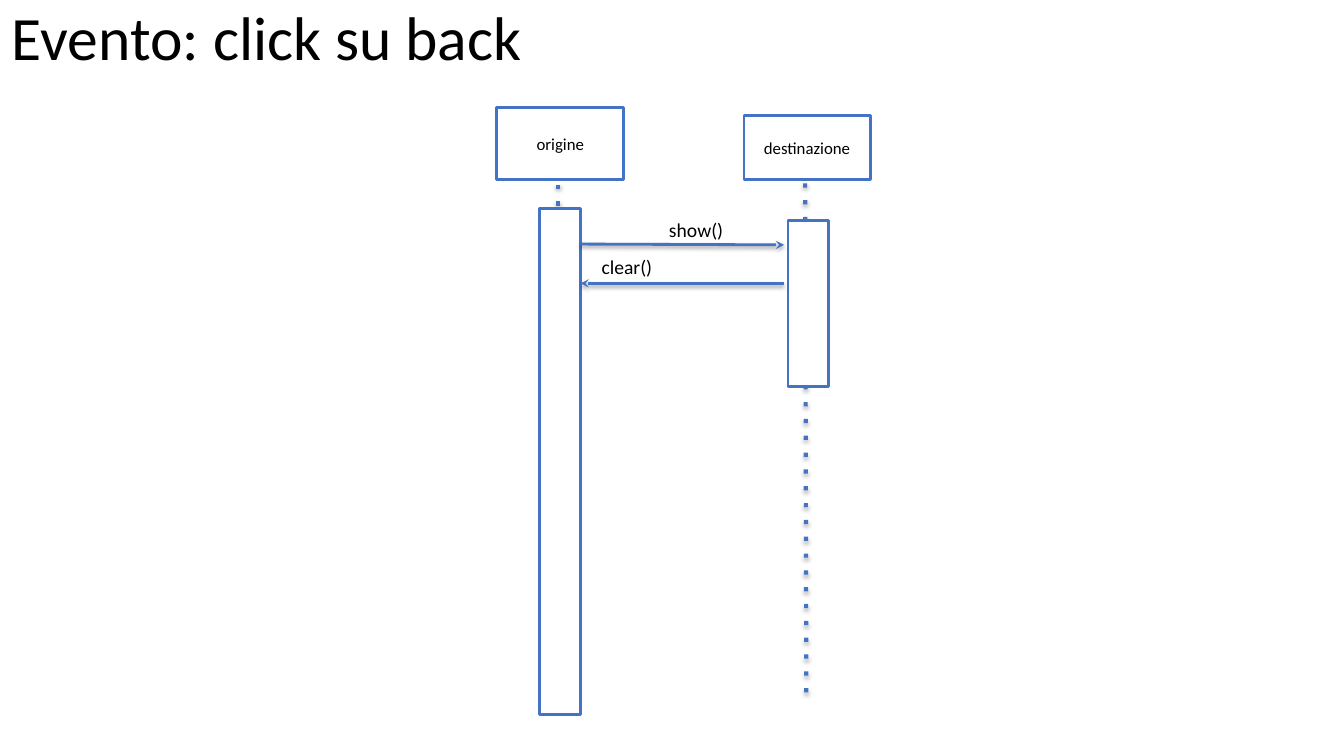
from lxml import etree
from pptx import Presentation
from pptx import util as u
from pptx.dml.color import RGBColor
from pptx.enum import shapes, text
from pptx.oxml import ns


def color(code):
    return RGBColor.from_string(code)


def add(parent, tag, **attrs):
    node = etree.SubElement(parent, ns.qn(tag))
    for key, val in attrs.items():
        node.set(key, str(val))
    return node


class Sketch:
    font = "Calibri"
    ink = "000000"
    blue = "4472C4"
    white = "FFFFFF"

    def __init__(self, slide):
        self.slide = slide

    def letter(self, shape, words, size, align, anchor):
        """Put one styled paragraph into a shape."""
        frame = shape.text_frame
        frame.text = words
        frame.word_wrap = True
        frame.auto_size = text.MSO_AUTO_SIZE.NONE
        frame.vertical_anchor = anchor
        frame.margin_left = frame.margin_right = u.Cm(0.3)
        frame.margin_top = frame.margin_bottom = u.Cm(0.15)
        para = frame.paragraphs[0]
        para.alignment = align
        font = para.runs[0].font
        font.name = self.font
        font.size = u.Pt(size)
        font.color.rgb = color(self.ink)

    def title(self, words, x, y, w, h):
        head = self.slide.shapes.title
        head.left, head.top, head.width, head.height = map(u.Cm, (x, y, w, h))
        self.letter(head, words, 44, text.PP_ALIGN.LEFT,
                    text.MSO_ANCHOR.MIDDLE)
        head.text_frame.paragraphs[0].line_spacing = 0.9

    def box(self, x, y, w, h, words=None):
        rect = self.slide.shapes.add_shape(
            shapes.MSO_SHAPE.RECTANGLE, *map(u.Cm, (x, y, w, h)))
        rect.shadow.inherit = False
        rect.fill.solid()
        rect.fill.fore_color.rgb = color(self.white)
        rect.line.color.rgb = color(self.blue)
        rect.line.width = u.Pt(2)
        if words:
            self.letter(rect, words, 12, text.PP_ALIGN.CENTER,
                        text.MSO_ANCHOR.MIDDLE)

    def label(self, words, x, y, w, h):
        area = self.slide.shapes.add_textbox(*map(u.Cm, (x, y, w, h)))
        self.letter(area, words, 14, text.PP_ALIGN.LEFT, text.MSO_ANCHOR.TOP)

    def line(self, ends, width, drop, alpha):
        """Draw a blue connector with a soft shadow and return its a:ln."""
        wire = self.slide.shapes.add_connector(
            shapes.MSO_CONNECTOR.STRAIGHT, *map(u.Cm, ends))
        wire.line.color.rgb = color(self.blue)
        wire.line.width = u.Pt(width)
        props = wire.element.spPr
        shade = add(add(props, "a:effectLst"), "a:outerShdw",
                    blurRad=u.Pt(3.1), dist=u.Pt(drop), dir=90 * 60000,
                    rotWithShape=0)
        tint = add(shade, "a:srgbClr", val=self.ink)
        add(tint, "a:alpha", val=alpha * 1000)
        return props.find(ns.qn("a:ln"))

    def life(self, *ends):
        add(self.line(ends, 3, 1.8, 35), "a:prstDash", val="dot")

    def arrow(self, *ends):
        add(self.line(ends, 2, 1.6, 38), "a:tailEnd", type="stealth")


def main():
    deck = Presentation()
    deck.slide_width, deck.slide_height = u.Cm(33.87), u.Cm(19.05)
    pen = Sketch(deck.slides.add_slide(deck.slide_layouts[5]))

    pen.title("Evento: click su back", 0, 0, 20.22, 2.03)

    pen.life(14.07, 4.65, 14.07, 16.94)
    pen.box(12.52, 2.72, 3.2, 1.8, "origine")
    pen.box(13.59, 5.26, 1.04, 12.75)

    pen.life(20.29, 4.62, 20.32, 17.53)
    pen.box(19.86, 5.56, 1.02, 4.19)
    pen.box(18.75, 2.92, 3.18, 1.6, "destinazione")

    start, end = 14.63, 19.76
    pen.arrow(start, 6.15, end, 6.17)
    pen.label("show()", 16.56, 5.33, 2.24, 0.91)
    pen.arrow(end, 7.14, start, 7.14)
    pen.label("clear()", 14.86, 6.27, 2.54, 1.24)

    deck.save("out.pptx")


if __name__ == "__main__":
    main()
